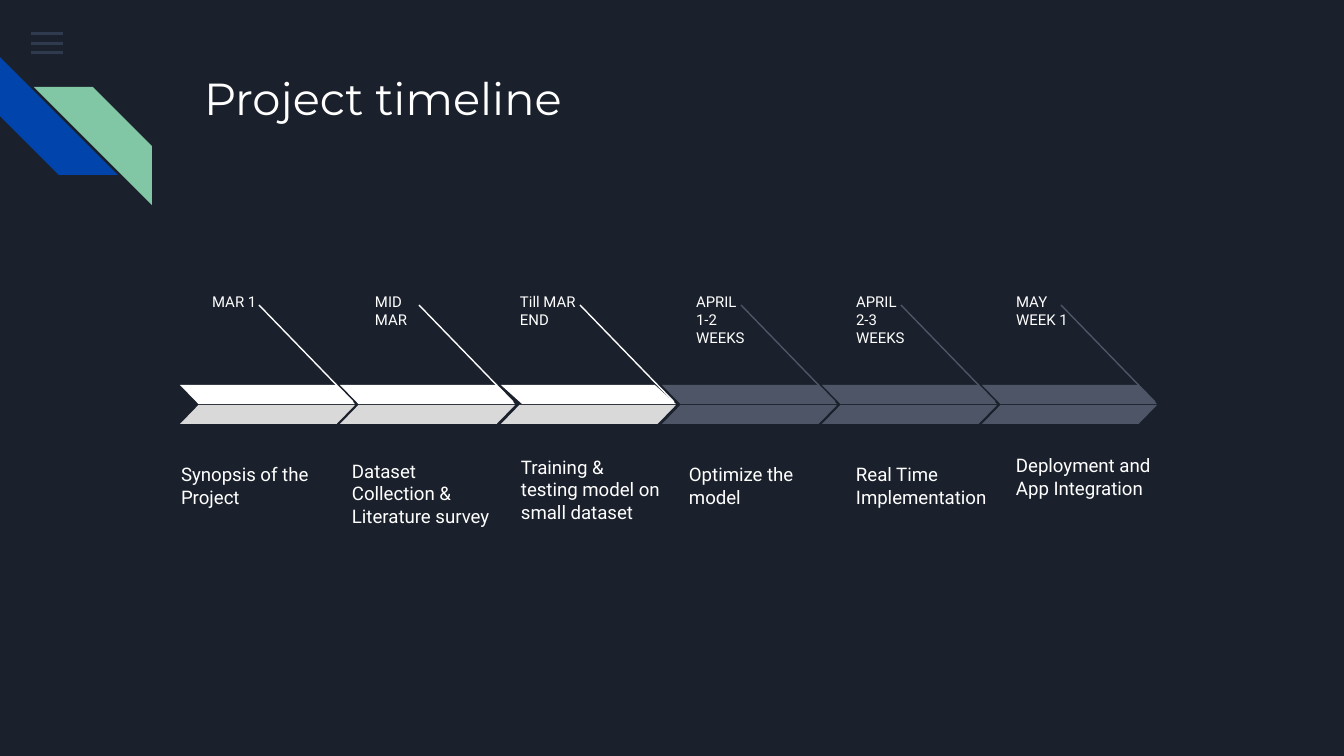
from dataclasses import dataclass

from lxml.etree import SubElement
from pptx import Presentation
from pptx.dml.color import RGBColor
from pptx.enum.shapes import MSO_CONNECTOR as Connector, MSO_SHAPE as Shape
from pptx.enum.text import MSO_ANCHOR as Anchor, MSO_AUTO_SIZE as AutoSize, PP_ALIGN as Align
from pptx.oxml.ns import qn
from pptx.util import Pt

PX = 914400 / 134.4


def px(length):
    return round(length * PX)


@dataclass(frozen=True)
class Theme:
    background: str = "1B212C"
    text: str = "FFFFFF"
    menu: str = "55688B"
    blue: str = "0145AC"
    green: str = "82C7A5"
    done_top: str = "FFFFFF"
    done_bottom: str = "D9D9D9"
    pending: str = "4E5567"
    heading_font: str = "Montserrat"
    body_font: str = "Roboto"
    title_size: int = 24
    task_size: int = 10
    date_size: int = 8
    inset: int = 13


class TimelineSlide:
    def __init__(self, deck, theme):
        self.theme = theme
        self.slide = deck.slides.add_slide(deck.slide_layouts[5])
        fill = self.slide.background.fill
        fill.solid()
        fill.fore_color.rgb = RGBColor.from_string(theme.background)

    def fill_text(self, box, words, size, font, anchor=Anchor.TOP):
        frame = box.text_frame
        frame.word_wrap = True
        frame.auto_size = AutoSize.NONE
        frame.vertical_anchor = anchor
        frame.margin_left = frame.margin_right = px(self.theme.inset)
        frame.margin_top = frame.margin_bottom = px(self.theme.inset)
        para = frame.paragraphs[0]
        para.alignment = Align.LEFT
        span = para.add_run()
        span.text = words
        span.font.size = Pt(size)
        span.font.name = font
        span.font.color.rgb = RGBColor.from_string(self.theme.text)

    def title(self, words, left, top, width, height):
        box = self.slide.shapes.title
        box.left, box.top, box.width, box.height = map(px, (left, top, width, height))
        self.fill_text(box, words, self.theme.title_size, self.theme.heading_font)

    def text(self, words, place, size, anchor=Anchor.TOP):
        box = self.slide.shapes.add_textbox(*map(px, place))
        self.fill_text(box, words, size, self.theme.body_font, anchor)

    def shape(self, kind, place, color, slant=None, flip=False, turn=0, alpha=None):
        shape = self.slide.shapes.add_shape(kind, *map(px, place))
        shape.shadow.inherit = False
        shape.fill.solid()
        shape.fill.fore_color.rgb = RGBColor.from_string(color)
        shape.line.fill.background()
        shape.rotation = turn
        if slant is not None:
            shape.adjustments[0] = slant
        if flip:
            shape._element.spPr.find(qn("a:xfrm")).set("flipH", "1")
        if alpha is not None:
            tint = shape._element.spPr.find(qn("a:solidFill"))[0]
            SubElement(tint, qn("a:alpha")).set("val", str(alpha * 1000))

    def line(self, start, end, color):
        line = self.slide.shapes.add_connector(Connector.STRAIGHT, *map(px, start + end))
        line.line.color.rgb = RGBColor.from_string(color)
        line.line.width = Pt(0.75)
        SubElement(line._element.spPr, qn("a:effectLst"))


# Date, date left, width and height; task, task place; finished; top slant
STEPS = [
    ("MAR 1", 199, 79, 31, "Synopsis of the Project", (168, 462, 172, 59), True, 0.97),
    ("MID MAR", 362, 79, 31, "Dataset Collection & Literature survey",
     (339, 426, 167, 114), True, 0.97),
    ("Till MAR END", 507, 94, 44, "Training & testing model on small dataset",
     (508, 477, 167, 59), True, 1.11),
    ("APRIL 1-2 WEEKS", 683, 79, 31, "Optimize the model", (676, 462, 167, 59), False, 0.97),
    ("APRIL 2-3 WEEKS", 843, 79, 31, "Real Time Implementation",
     (843, 462, 167, 59), False, 0.97),
    ("MAY WEEK 1", 1003, 79, 31, "Deployment and App Integration",
     (1003, 453, 167, 59), False, 0.97),
]
FIRST_LEFT, PITCH = 180, 160.5
BAND_WIDTH, BAND_HEIGHT = 175, 19


def main():
    theme = Theme()
    deck = Presentation()
    deck.slide_width, deck.slide_height = px(1344), px(756)
    page = TimelineSlide(deck, theme)

    # Menu icon and corner stripes
    for top in (32, 42, 51):
        page.shape(Shape.RECTANGLE, (31, top, 32, 3), theme.menu, alpha=36)
    page.shape(Shape.DIAGONAL_STRIPE, (0, 57, 118, 118), theme.blue, slant=0.5, turn=270)
    page.shape(Shape.DIAGONAL_STRIPE, (34, 87, 118, 118), theme.green, slant=0.5, flip=True)

    # Title
    page.title("Project timeline", 191, 58, 1035, 134)

    # Dates and tasks
    for date, left, width, height, task, place, _, _ in STEPS:
        page.text(date, (left, 280, width, height), theme.date_size)
        page.text(task, place, theme.task_size, Anchor.BOTTOM)

    # Leader lines and two-part arrows
    for index, (*_, finished, slant) in enumerate(STEPS):
        left = round(FIRST_LEFT + index * PITCH)
        upper = theme.done_top if finished else theme.pending
        lower = theme.done_bottom if finished else theme.pending
        page.line((left + 79, 305), (left + 173, 402), upper)
        page.shape(Shape.PARALLELOGRAM, (left, 385, BAND_WIDTH, BAND_HEIGHT), upper,
                   slant, flip=True)
        page.shape(Shape.PARALLELOGRAM, (left, 405, BAND_WIDTH, BAND_HEIGHT), lower, 0.97)

    deck.save("out.pptx")


if __name__ == "__main__":
    main()
